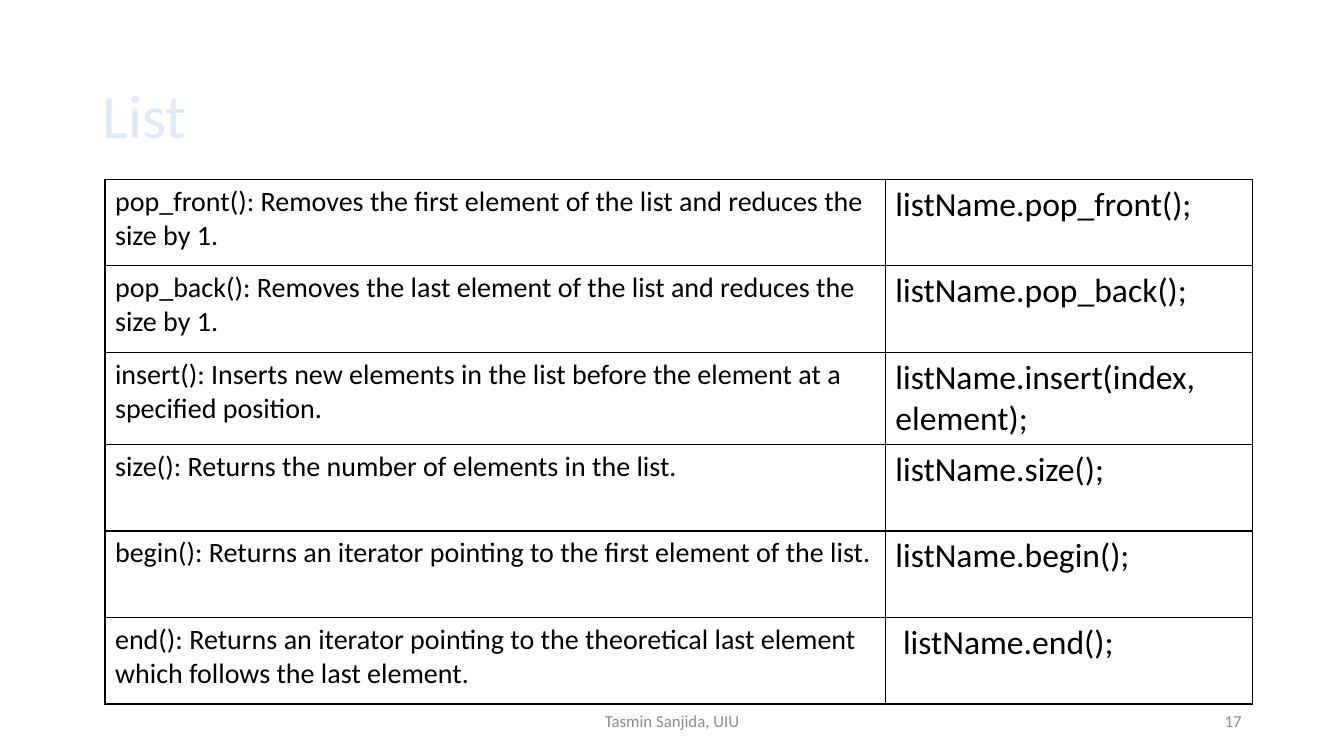
"""Builds a slide with a table of list functions and their syntax."""
from dataclasses import dataclass

import pptx
import pptx.dml.color
import pptx.enum.text
import pptx.oxml
import pptx.oxml.ns
import pptx.util

WIDTH, HEIGHT = 13.33, 7.5
COLUMNS, ROWS = 32, 18
FONT = "Calibri"
BLACK, GREY, PALE_BLUE = "000000", "8C8C8C", "DEEBF7"
ALIGN = pptx.enum.text.PP_ALIGN


@dataclass
class Label:
    text: str
    column: float
    row: float
    columns: float
    rows: float
    size: int
    color: str
    align: ALIGN


@dataclass
class Function:
    description: str
    syntax: str


LABELS = [
    Label("List", 2.2, 0.96, 27.6, 3.48, 44, PALE_BLUE, ALIGN.LEFT),
    Label("Tasmin Sanjida, UIU", 10.6, 16.68, 10.8, 0.96, 12, GREY, ALIGN.CENTER),
    Label("17", 22.6, 16.68, 7.2, 0.96, 12, GREY, ALIGN.RIGHT),
]
FUNCTIONS = [
    Function("pop_front(): Removes the first element of the list and reduces the size by 1.",
             "listName.pop_front();"),
    Function("pop_back(): Removes the last element of the list and reduces the size by 1.",
             "listName.pop_back();"),
    Function("insert(): Inserts new elements in the list before the element at a specified position.",
             "listName.insert(index, element);"),
    Function("size(): Returns the number of elements in the list.", "listName.size();"),
    Function("begin(): Returns an iterator pointing to the first element of the list.",
             "listName.begin();"),
    Function("end(): Returns an iterator pointing to the theoretical last element "
             "which follows the last element.", " listName.end();"),
]
TABLE_COLUMN, TABLE_ROW = 2.5, 4.27
COLUMN_SPANS = (18.58, 8.74)
ROW_SPAN = 2.06
TEXT_SIZES = (20, 24)


def across(columns: float) -> int:
    return pptx.util.Inches(columns * WIDTH / COLUMNS)


def down(rows: float) -> int:
    return pptx.util.Inches(rows * HEIGHT / ROWS)


def color(value: str) -> pptx.dml.color.RGBColor:
    return pptx.dml.color.RGBColor.from_string(value)


def add_span(para, text: str, size: int, value: str) -> None:
    span = para.add_run()
    span.text = text
    span.font.name = FONT
    span.font.size = pptx.util.Pt(size)
    span.font.color.rgb = color(value)


def add_label(page, label: Label) -> None:
    box = page.shapes.add_textbox(across(label.column), down(label.row),
                                  across(label.columns), down(label.rows))
    frame = box.text_frame
    frame.word_wrap = True
    frame.vertical_anchor = pptx.enum.text.MSO_ANCHOR.MIDDLE
    para = frame.paragraphs[0]
    para.alignment = label.align
    add_span(para, label.text, label.size, label.color)


def add_borders(cell) -> None:
    properties = cell._tc.get_or_add_tcPr()
    for position, side in enumerate(("lnL", "lnR", "lnT", "lnB")):
        properties.insert(position, pptx.oxml.parse_xml(
            f'<a:{side} {pptx.oxml.ns.nsdecls("a")} w="{pptx.util.Pt(1)}">'
            f'<a:solidFill><a:srgbClr val="{BLACK}"/></a:solidFill></a:{side}>'))


def add_function_table(page, functions: list[Function]) -> None:
    table = page.shapes.add_table(
        len(functions), len(COLUMN_SPANS), across(TABLE_COLUMN), down(TABLE_ROW),
        across(sum(COLUMN_SPANS)), down(ROW_SPAN * len(functions))).table
    table.first_row = table.horz_banding = False
    for column, span in zip(table.columns, COLUMN_SPANS):
        column.width = across(span)
    for row, function in zip(table.rows, functions):
        row.height = down(ROW_SPAN)
        texts = (function.description, function.syntax)
        for cell, text, size in zip(row.cells, texts, TEXT_SIZES):
            cell.fill.background()
            add_borders(cell)
            add_span(cell.text_frame.paragraphs[0], text, size, BLACK)


def main() -> None:
    deck = pptx.Presentation()
    deck.slide_width = across(COLUMNS)
    deck.slide_height = down(ROWS)
    page = deck.slides.add_slide(deck.slide_layouts[6])
    add_function_table(page, FUNCTIONS)
    for label in LABELS:
        add_label(page, label)
    deck.save("out.pptx")


if __name__ == "__main__":
    main()
